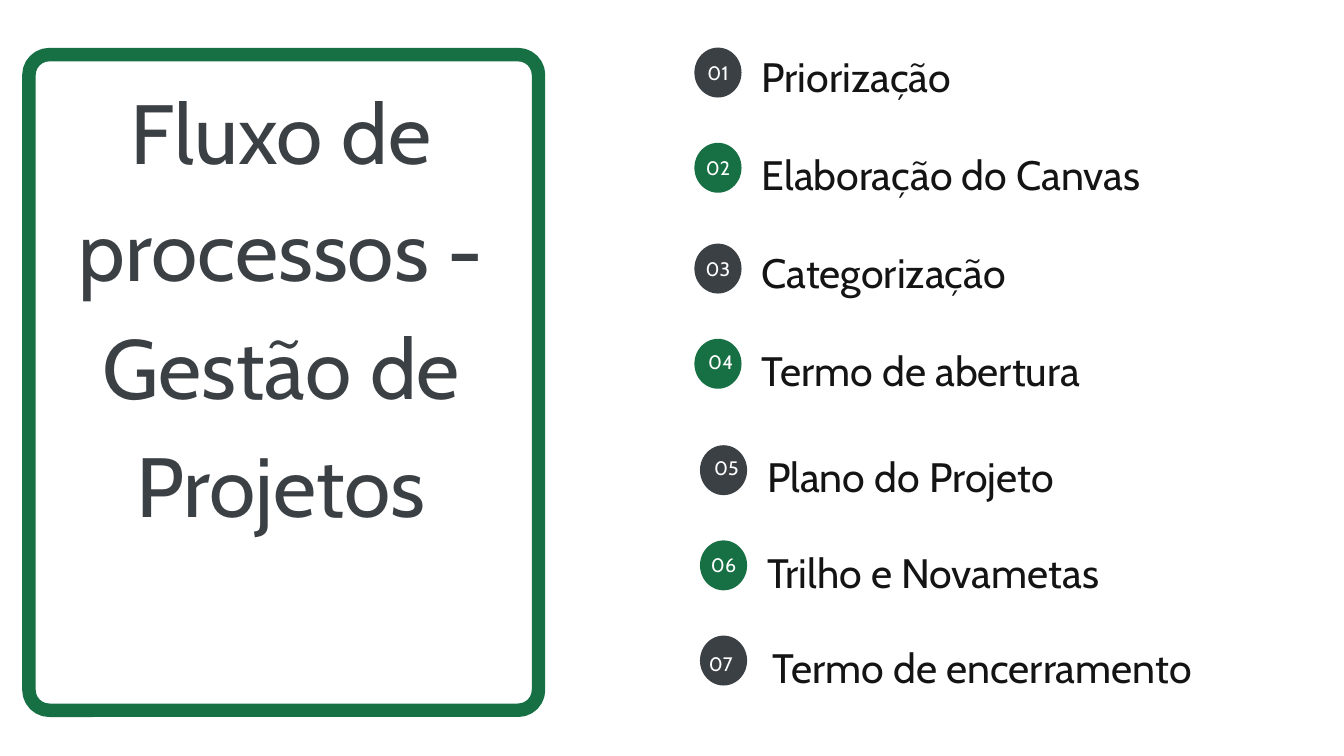
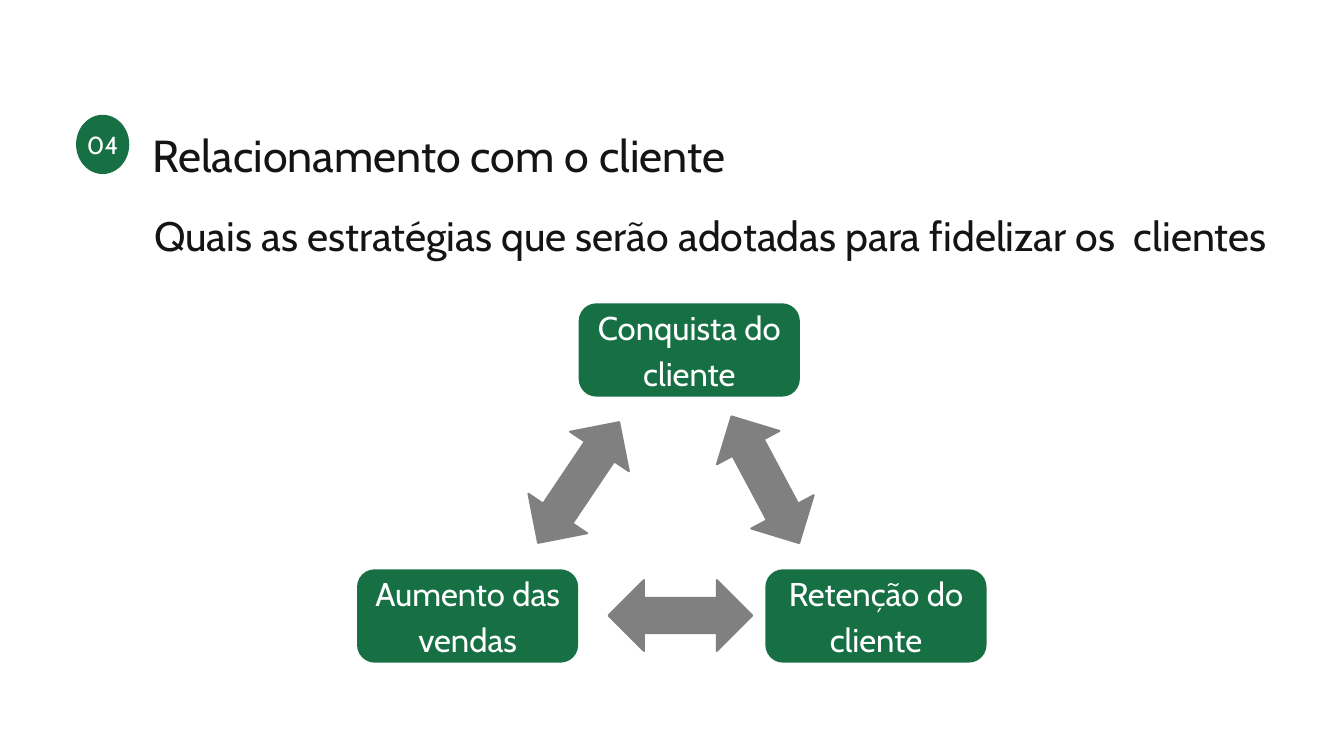
from dataclasses import dataclass

from pptx import Presentation
from pptx.dml.color import RGBColor
from pptx.enum.shapes import MSO_SHAPE
from pptx.enum.text import MSO_ANCHOR, MSO_AUTO_SIZE, PP_ALIGN
from pptx.oxml import parse_xml
from pptx.oxml.ns import nsdecls
from pptx.util import Pt


@dataclass(frozen=True)
class Theme:
    font: str = "Cabin"
    green: str = "167044"
    slate: str = "3B4045"
    ink: str = "141414"
    gray: str = "808080"
    white: str = "FFFFFF"
    # Each type style: size, line pitch, colour, alignment, letter spacing
    cover: tuple = (90, 126, slate, PP_ALIGN.CENTER, 0)
    head: tuple = (48, 72, ink, PP_ALIGN.JUSTIFY, 0)
    text: tuple = (44, 66, ink, PP_ALIGN.JUSTIFY, 0)
    node: tuple = (35.2, 49.3, white, PP_ALIGN.CENTER, 0)
    small: tuple = (20.9, 25.1, white, PP_ALIGN.CENTER, 0.3)
    large: tuple = (26.4, 31.6, white, PP_ALIGN.CENTER, 0.4)


def assign(item, **vals):
    for name, val in vals.items():
        setattr(item, name, val)


def place(item, box):
    names = ("left", "top", "width", "height")
    assign(item, **{name: Pt(val) for name, val in zip(names, box)})


class Deck:
    def __init__(self, theme):
        self.theme = theme
        self.prs = Presentation()
        assign(self.prs, slide_width=Pt(1440), slide_height=Pt(810))
        self.slide = None

    def start(self, layout):
        self.slide = self.prs.slides.add_slide(self.prs.slide_layouts[layout])

    def letter(self, item, lines, style):
        """Fill a text holder with plain, unbulleted paragraphs."""
        size, pitch, color, align, track = style
        frame = item.text_frame
        assign(frame, word_wrap=True, auto_size=MSO_AUTO_SIZE.NONE,
               vertical_anchor=MSO_ANCHOR.TOP, margin_left=0, margin_top=0,
               margin_right=0, margin_bottom=0)
        frame.text = "\n".join(lines)
        for para in frame.paragraphs:
            props = para._p.get_or_add_pPr()
            for name in ("marL", "indent"):
                props.set(name, "0")
            props.append(parse_xml(f"<a:buNone {nsdecls('a')}/>"))
            assign(para, alignment=align, line_spacing=Pt(pitch),
                   space_before=Pt(0), space_after=Pt(0))
            for run in para.runs:
                assign(run.font, name=self.theme.font, size=Pt(size), bold=False)
                run.font.color.rgb = RGBColor.from_string(color)
                if track:
                    run._r.get_or_add_rPr().set("spc", str(round(track * 100)))

    def holder(self, index, box, lines, style):
        """Move and fill the layout placeholder with this index."""
        item = self.slide.placeholders[index]
        place(item, box)
        self.letter(item, lines, style)

    def label(self, box, line, style):
        item = self.slide.shapes.add_textbox(*map(Pt, box))
        self.letter(item, [line], style)

    def shape(self, kind, box, fill=None, line=None, width=0, round_by=None, turn=0):
        item = self.slide.shapes.add_shape(kind, *map(Pt, box))
        item.shadow.inherit = False
        item.rotation = turn
        if fill:
            item.fill.solid()
            item.fill.fore_color.rgb = RGBColor.from_string(fill)
        else:
            item.fill.background()
        if line:
            item.line.color.rgb = RGBColor.from_string(line)
            item.line.width = Pt(width)
        else:
            item.line.fill.background()
        if round_by is not None:
            item.adjustments[0] = round_by

    def badge(self, box, fill, digits, area, style):
        self.shape(MSO_SHAPE.OVAL, box, fill)
        self.label(area, digits, style)

    def node(self, left, top, line):
        self.shape(MSO_SHAPE.ROUNDED_RECTANGLE, (left, top, 237, 100),
                   self.theme.green, round_by=0.19)
        self.label((left, top - 2, 237, 98), line, self.theme.node)

    def arrow(self, box, turn):
        gray = self.theme.gray
        self.shape(MSO_SHAPE.UP_DOWN_ARROW, box, gray, gray, 2, turn=turn)


# Step: badge left and top, digit offset, text left, top and width
STEPS = [
    ("Priorização", 744, 51, 9, 14, 816, 42, 288),
    ("Elaboração do Canvas", 744, 153, 9, 14, 816, 147, 482),
    ("Categorização", 744, 261, 9, 14, 816, 252, 324),
    ("Termo de abertura", 744, 363, 12, 12, 816, 357, 576),
    ("Plano do Projeto", 750, 477, 12, 12, 822, 471, 354),
    ("Trilho e Novametas", 750, 579, 9, 14, 822, 573, 576),
    ("Termo de encerramento", 750, 681, 6, 18, 828, 675, 576),
]

NODES = [
    (620, 325, "Conquista do cliente"),
    (382.5, 610, "Aumento das vendas"),
    (820, 610, "Retenção do cliente"),
]

ARROWS = [
    ((582, 439, 76, 156), 33.9),
    ((782, 437, 76, 154), 331.9),
    ((691, 582.5, 76, 154), 270),
]


def flow(deck):
    look = deck.theme
    deck.start(5)
    deck.shape(MSO_SHAPE.ROUNDED_RECTANGLE, (31, 58.5, 546, 702.5),
               line=look.green, width=14.4, round_by=0.04)
    deck.holder(0, (80.5, 68, 441.5, 625.5),
                ["Fluxo de processos -", "Gestão de Projetos"], look.cover)
    for num, (name, left, top, dx, dy, start, base, wide) in enumerate(STEPS, 1):
        fill = look.slate if num % 2 else look.green
        deck.badge((left, top, 50.5, 53.5), fill, f"{num:02}",
                   (left + dx, top + dy, 32.5, 26), look.small)
        deck.label((start, base, wide, 66), name, look.text)


def client(deck):
    look = deck.theme
    deck.start(1)
    deck.badge((81.5, 123, 57, 63.5), look.green, "04",
               (91.5, 139, 37, 32.5), look.large)
    deck.holder(0, (163, 122.5, 694, 70), ["Relacionamento com o cliente"], look.head)
    deck.holder(1, (165, 212.5, 1219, 130),
                ["Quais as estratégias que serão adotadas para fidelizar os  clientes"],
                look.text)
    for node in NODES:
        deck.node(*node)
    for box, turn in ARROWS:
        deck.arrow(box, turn)


def main():
    deck = Deck(Theme())
    flow(deck)
    client(deck)
    deck.prs.save("out.pptx")


if __name__ == "__main__":
    main()
